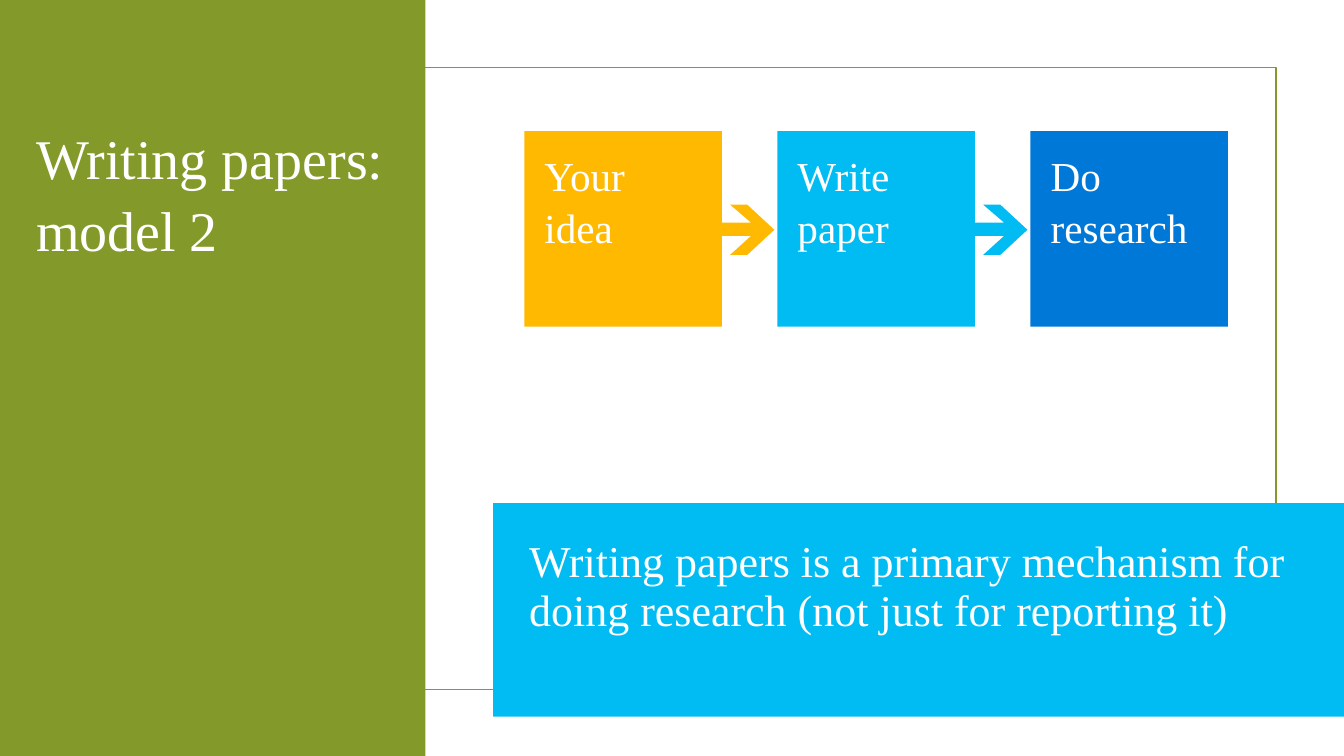
from dataclasses import dataclass

from pptx import Presentation
from pptx.dml.color import RGBColor
from pptx.enum.shapes import MSO_SHAPE
from pptx.enum.text import MSO_ANCHOR, PP_ALIGN
from pptx.shapes.autoshape import Shape
from pptx.slide import Slide
from pptx.util import Pt

PX = 9144
FONT = "Times New Roman"
OLIVE, CYAN, AMBER, BLUE, WHITE = "83992A", "00BCF2", "FFB900", "0078D7", "FFFFFF"
STEP_LEFT, STEP_TOP, STEP_PITCH = 520, 130, 251
STEP_WIDTH, STEP_HEIGHT = 196, 194
ARROW_OFFSET, ARROW_TOP = 179, 203
ARROW_POINTS = [
    (0, 18), (46, 18), (25, 0), (42, 0), (69, 25),
    (42, 50), (25, 50), (46, 31), (0, 31),
]


@dataclass
class Area:
    left: int
    top: int
    width: int
    height: int

    def emu(self) -> list[int]:
        return [side * PX for side in (self.left, self.top, self.width, self.height)]


@dataclass
class Step:
    label: str
    color: str


@dataclass
class TextStyle:
    size: float
    line_spacing: float
    space_before: float = 0
    inset_x: int = 10
    inset_y: int = 5


STEPS = [Step("Your idea", AMBER), Step("Write paper", CYAN), Step("Do research", BLUE)]
STEP_STYLE = TextStyle(29.4, 1.06, inset_x=20, inset_y=16)
TITLE_STYLE = TextStyle(40, 1.06, 2)
MESSAGE_STYLE = TextStyle(31.4, 0.93, 3)


def rgb(color: str) -> RGBColor:
    return RGBColor.from_string(color)


def set_all(target: object, values: dict[str, object]) -> None:
    for name, value in values.items():
        setattr(target, name, value)


def paint(shape: Shape, color: str) -> None:
    shape.shadow.inherit = False
    shape.fill.solid()
    shape.fill.fore_color.rgb = rgb(color)
    shape.line.fill.background()


def add_panel(page: Slide, area: Area, color: str) -> Shape:
    panel = page.shapes.add_shape(MSO_SHAPE.RECTANGLE, *area.emu())
    paint(panel, color)
    return panel


def add_frame(page: Slide, area: Area, color: str) -> None:
    frame = add_panel(page, area, color)
    frame.fill.background()
    frame.line.color.rgb = rgb(color)
    frame.line.width = Pt(1.25)


def write(box: Shape, text: str, style: TextStyle) -> None:
    set_all(box.text_frame, {
        "word_wrap": True,
        "vertical_anchor": MSO_ANCHOR.TOP,
        "margin_left": style.inset_x * PX,
        "margin_right": style.inset_x * PX,
        "margin_top": style.inset_y * PX,
        "margin_bottom": style.inset_y * PX,
    })
    para = box.text_frame.paragraphs[0]
    set_all(para, {
        "alignment": PP_ALIGN.LEFT,
        "line_spacing": style.line_spacing,
        "space_before": Pt(style.space_before),
    })
    span = para.add_run()
    span.text = text
    set_all(span.font, {"name": FONT, "size": Pt(style.size)})
    span.font.color.rgb = rgb(WHITE)


def add_text(page: Slide, area: Area, text: str, style: TextStyle) -> None:
    write(page.shapes.add_textbox(*area.emu()), text, style)


def add_arrow(page: Slide, left: int, top: int, color: str) -> None:
    points = [(left + x, top + y) for x, y in ARROW_POINTS]
    outline = page.shapes.build_freeform(*points[0], scale=PX)
    outline.add_line_segments(points[1:], close=True)
    paint(outline.convert_to_shape(), color)


def add_steps(page: Slide) -> None:
    for index, step in enumerate(STEPS):
        left = STEP_LEFT + index * STEP_PITCH
        box = add_panel(page, Area(left, STEP_TOP, STEP_WIDTH, STEP_HEIGHT), step.color)
        write(box, step.label, STEP_STYLE)
        if index < len(STEPS) - 1:
            add_arrow(page, left + ARROW_OFFSET, ARROW_TOP, step.color)


def main() -> None:
    deck = Presentation()
    set_all(deck, {"slide_width": 1333 * PX, "slide_height": 750 * PX})
    page = deck.slides.add_slide(deck.slide_layouts[6])
    add_frame(page, Area(66, 67, 1200, 617), OLIVE)
    add_panel(page, Area(489, 499, 844, 212), CYAN)
    add_panel(page, Area(0, 0, 422, 750), OLIVE)
    add_steps(page)
    add_text(page, Area(26, 114, 371, 162), "Writing papers: model 2", TITLE_STYLE)
    add_text(
        page,
        Area(515, 529, 818, 162),
        "Writing papers is a primary mechanism for doing research (not just for reporting it)",
        MESSAGE_STYLE,
    )
    deck.save("out.pptx")


if __name__ == "__main__":
    main()
